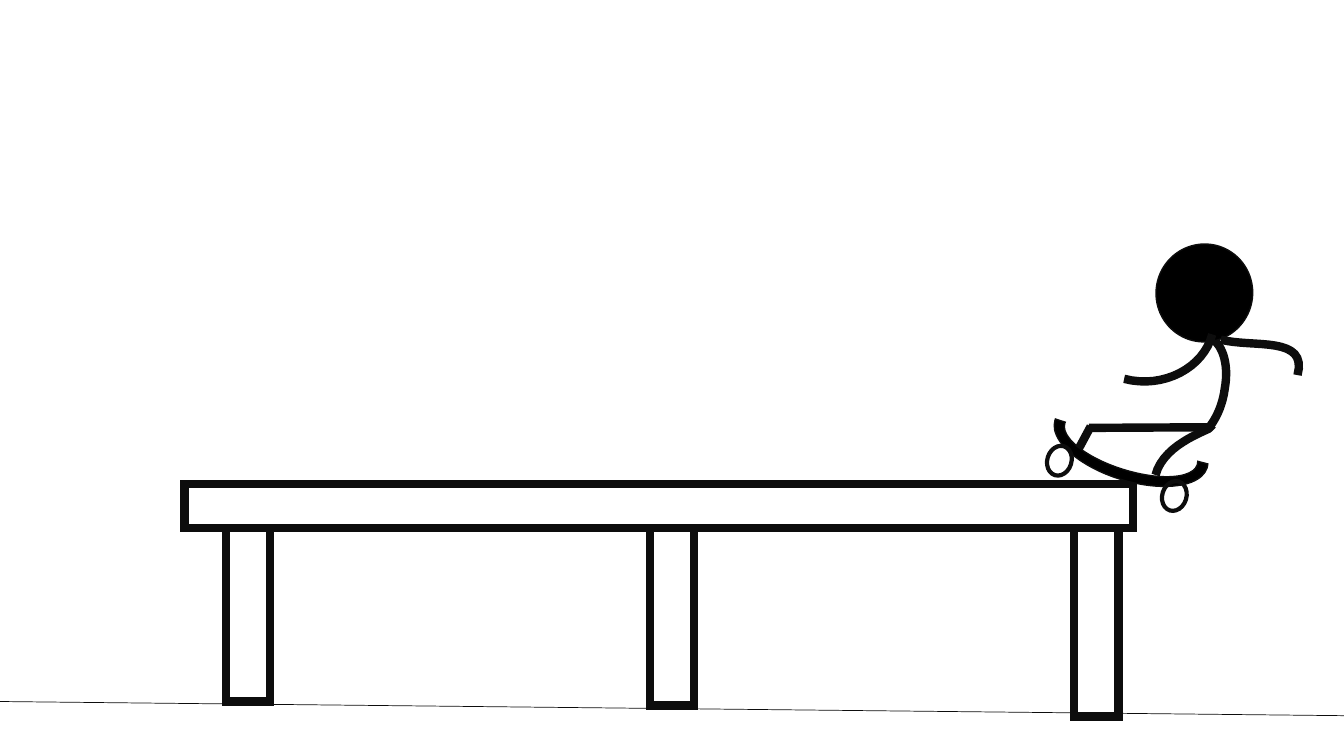
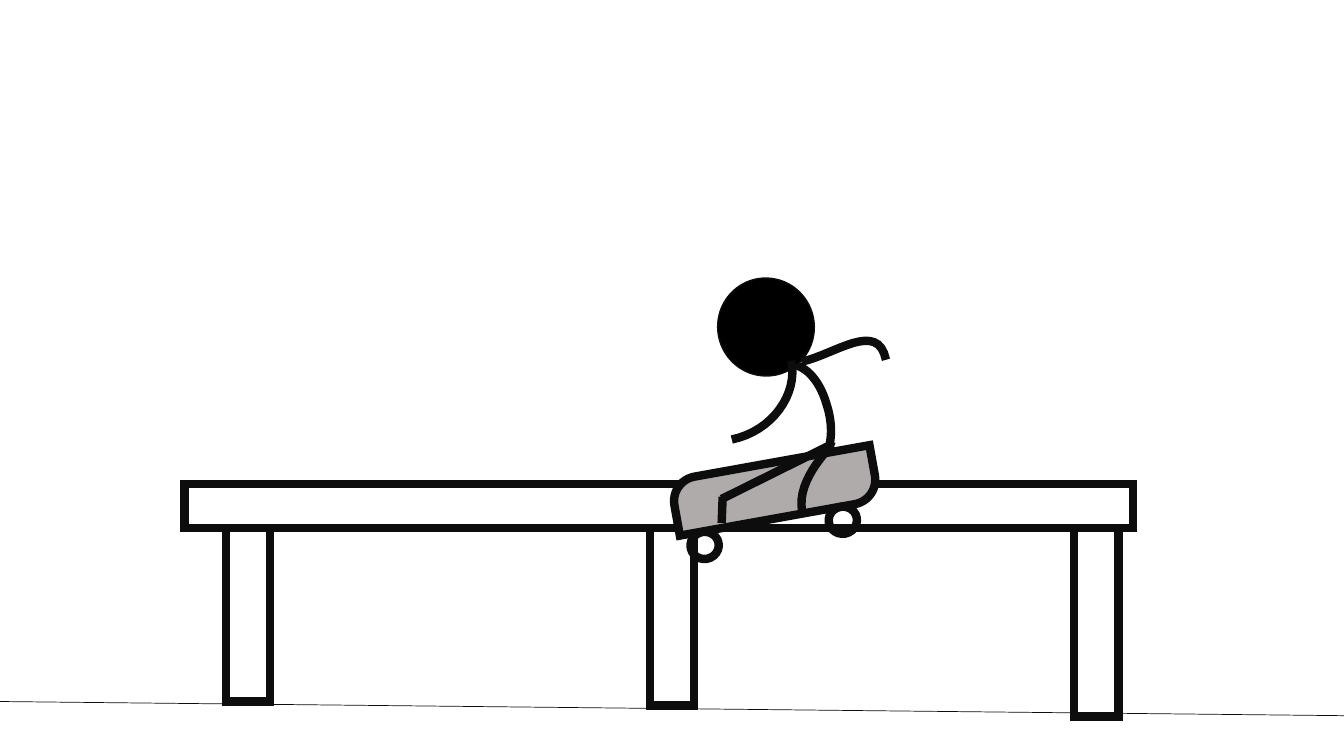
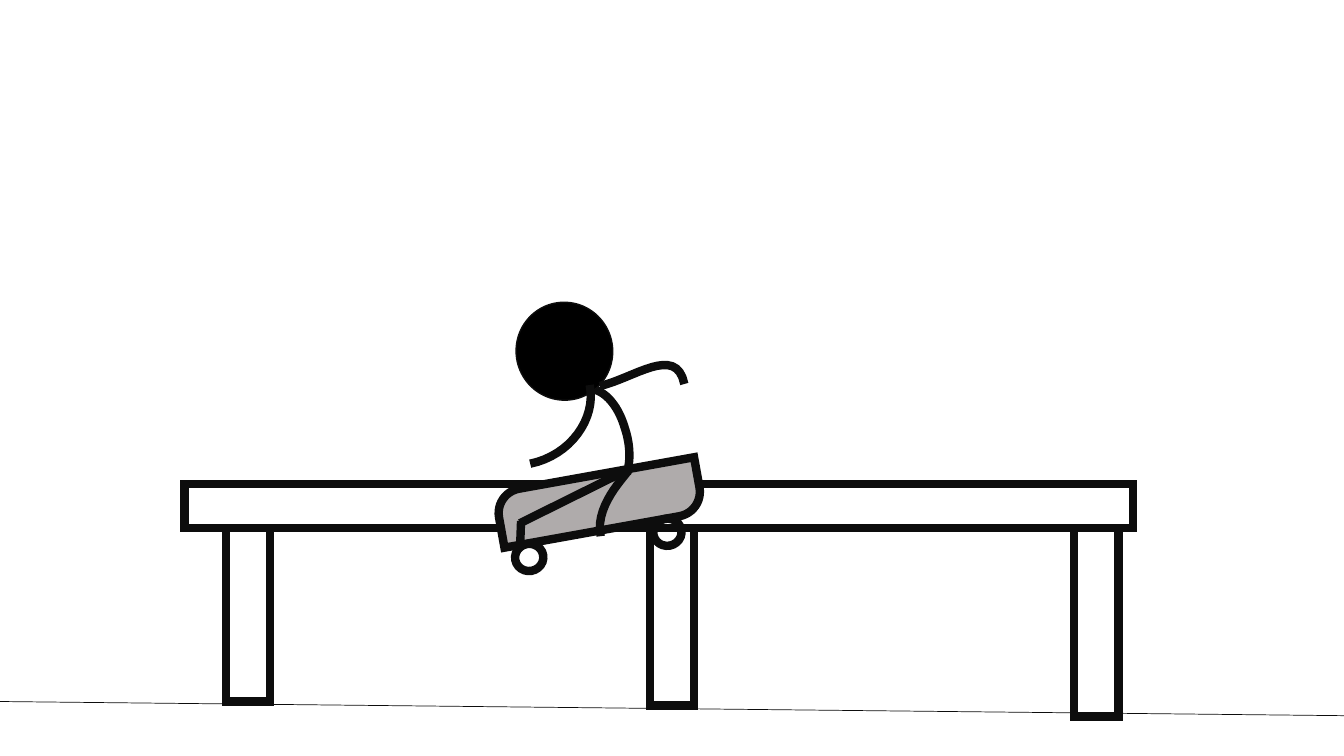
from math import cos, radians, sin

from lxml import etree
from pptx import Presentation
from pptx.dml.color import RGBColor
from pptx.enum.shapes import MSO_CONNECTOR, MSO_SHAPE
from pptx.oxml.ns import qn
from pptx.util import Pt

RECT = MSO_SHAPE.RECTANGLE
OVAL = MSO_SHAPE.OVAL
ARC = MSO_SHAPE.BLOCK_ARC
DECK = MSO_SHAPE.ROUND_2_DIAG_RECTANGLE
LINE = MSO_CONNECTOR.STRAIGHT

INK, BLACK, GREY = "0D0D0D", "000000", "AFABAB"
THICK = 6
STEPS = 16
BLANK = 6

# Rider: offsets from the neck; each curve is a start followed by Bezier triples
HEAD, HEAD_W, HEAD_H = (-15.84, -27), 69, 70
LEG = [(29.5, 57.6), (33.8, 56.9), (5, 80.6), (10.1, 105.1)]
THIGH = [(29.5, 57.6), (-47.5, 95.8)]
SHIN = [(-46.8, 94.3), (-47.5, 113)]
SPINE = [(0, 0), (10.8, -1.4), (22.3, 10.1), (27.4, 28.1),
         (31, 38.9), (31.7, 50.4), (28.8, 60.5)]
ARMS = [
    [(9.4, -2.2), (33.1, -7.2), (64.1, -32.4), (69.8, -3.6)],
    [(2.2, -2.9), (7.2, 20.9), (-11.5, 47.5), (-40.3, 53.3)],
]


def rgb(code):
    return RGBColor.from_string(code)


def turn(point, angle, pivot):
    """Rotate an offset clockwise and place it at the pivot."""
    a = radians(angle)
    x, y = point
    return (pivot[0] + x * cos(a) - y * sin(a),
            pivot[1] + x * sin(a) + y * cos(a))


def trace(points):
    """Sample a chain of cubic Bezier curves."""
    out = [points[0]]
    for i in range(0, len(points) - 1, 3):
        quad = points[i:i + 4]
        for step in range(1, STEPS + 1):
            t = step / STEPS
            u = 1 - t
            mix = (u ** 3, 3 * u * u * t, 3 * u * t * t, t ** 3)
            out.append(tuple(sum(m * p[k] for m, p in zip(mix, quad))
                             for k in (0, 1)))
    return out


class Scene:
    def __init__(self):
        self.deck = Presentation()
        self.deck.slide_width = Pt(960)
        self.deck.slide_height = Pt(540)
        self.slide = self.pen = None

    def start(self):
        layout = self.deck.slide_layouts[BLANK]
        self.slide = self.deck.slides.add_slide(layout)
        self.pen = self.slide.shapes
        self.rail()

    def group(self):
        self.pen = self.slide.shapes.add_group_shape().shapes

    def stroke(self, item, width):
        item.line.width = Pt(width)
        item.line.color.rgb = rgb(INK)
        edge = item.line._get_or_add_ln()
        etree.SubElement(edge, qn("a:miter"), lim="800000")

    def shape(self, kind, x, y, w, h, fill=None, width=THICK, angle=0):
        item = self.pen.add_shape(kind, Pt(x), Pt(y), Pt(w), Pt(h))
        item.shadow.inherit = False
        item.rotation = angle
        if fill:
            item.fill.solid()
            item.fill.fore_color.rgb = rgb(fill)
        else:
            item.fill.background()
        self.stroke(item, width)
        return item

    def line(self, start, end, width=THICK):
        ends = [Pt(v) for v in (*start, *end)]
        item = self.pen.add_connector(LINE, *ends)
        self.stroke(item, width)
        etree.SubElement(item._element.spPr, qn("a:effectLst"))

    def curve(self, points):
        spots = [(Pt(x), Pt(y)) for x, y in trace(points)]
        maker = self.pen.build_freeform(*spots[0])
        maker.add_line_segments(spots[1:], close=False)
        item = maker.convert_to_shape()
        item.shadow.inherit = False
        item.fill.background()
        self.stroke(item, THICK)

    def rail(self):
        self.shape(RECT, 131.8, 345.6, 677.5, 31.7)
        self.line((0, 501.1), (960, 511.2), 0.5)
        for i, height in enumerate((123.8, 126.7, 134.6)):
            self.shape(RECT, 161.3 + 303 * i, 377.2, 31.7, height)

    def rider(self, neck, angle=0):
        def place(points):
            return [turn(p, angle, neck) for p in points]

        self.group()
        self.curve(place(LEG))
        for limb in (THIGH, SHIN):
            self.line(*place(limb))
        self.curve(place(SPINE))
        x, y = turn(HEAD, angle, neck)
        self.shape(OVAL, x - HEAD_W / 2, y - HEAD_H / 2, HEAD_W, HEAD_H,
                   BLACK, 1, angle - 11.9)
        for arm in ARMS:
            self.curve(place(arm))

    def board(self, x, y):
        """Skateboard tilted on edge, deck showing."""
        tilt = -10.2
        self.group()
        deck = self.shape(DECK, x, y, 144.7, 39.6, GREY, angle=tilt)
        deck.adjustments[0] = 0.446
        deck.adjustments[1] = 0
        for dx, dy in ((12.2, 49.4), (110.9, 31.4)):
            self.shape(OVAL, x + dx, y + dy, 20.2, 19.4, angle=tilt)

    def side(self, x, y):
        """Skateboard seen from the side, as a curved strip."""
        tilt = 17.3
        self.group()
        strip = self.shape(ARC, x, y, 113.8, 52.6, BLACK, 1, tilt)
        for i, value in enumerate((107.39, 1.651, 0.139)):
            strip.adjustments[i] = value
        strip._element.spPr.get_or_add_xfrm().set("flipV", "1")
        for dx, dy in ((-2.9, 27.4), (79.2, 52.6)):
            self.shape(OVAL, x + dx, y + dy, 17.3, 21.6, width=3, angle=tilt)


def main():
    scene = Scene()

    scene.start()
    scene.rider((862.6, 240.5), 26.1)
    scene.side(751, 290.9)

    for board, neck in (((481, 330.5), (563, 260.6)),
                        ((355.7, 339.1), (419, 277.9))):
        scene.start()
        scene.board(*board)
        scene.rider(neck)

    scene.deck.save("out.pptx")


if __name__ == "__main__":
    main()
